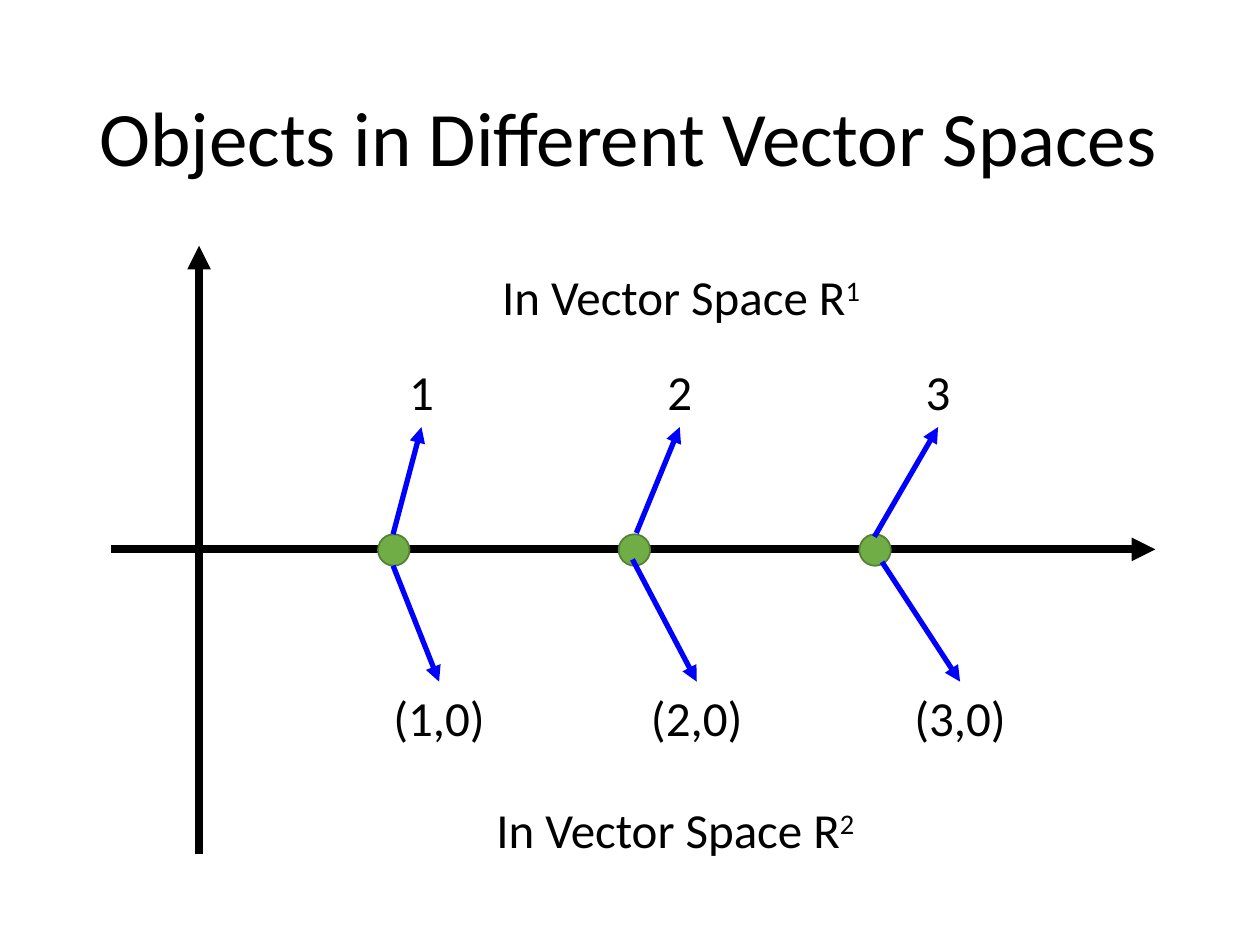
from lxml import etree
from pptx import Presentation
from pptx import util as u
from pptx.dml.color import RGBColor
from pptx.enum import shapes, text
from pptx.oxml import ns

BLACK, BLUE, GREEN, DARK_GREEN = "000000", "0000FF", "70AD47", "538035"
TOP, BOTTOM = 0, 2


def color(hex_value):
    return RGBColor.from_string(hex_value)


def box(*lengths):
    return [u.Inches(length) for length in lengths]


class Board:
    """Holds the text style and the current slide."""

    def __init__(self, slide, font="Calibri", size=28):
        self.slide = slide
        self.font = font
        self.size = size

    def style(self, run, size):
        values = {"name": self.font, "size": u.Pt(size)}
        for name, value in values.items():
            setattr(run.font, name, value)
        run.font.color.rgb = color(BLACK)

    def title(self, words, *place):
        heading = self.slide.shapes.title
        for name, value in zip(("left", "top", "width", "height"), box(*place)):
            setattr(heading, name, value)
        heading.text_frame.vertical_anchor = text.MSO_ANCHOR.MIDDLE
        line = heading.text_frame.paragraphs[0]
        line.alignment = text.PP_ALIGN.LEFT
        line.line_spacing = 0.9
        run = line.add_run()
        run.text = words
        self.style(run, 44)

    def label(self, words, *place, power=None):
        holder = self.slide.shapes.add_textbox(*box(*place))
        frame = holder.text_frame
        frame.word_wrap = True
        frame.auto_size = text.MSO_AUTO_SIZE.SHAPE_TO_FIT_TEXT
        line = frame.paragraphs[0]
        line.alignment = text.PP_ALIGN.CENTER
        for part in filter(None, (words, power)):
            run = line.add_run()
            run.text = part
            self.style(run, self.size)
            if part == power:
                run.font._element.set("baseline", "30000")
        return holder

    def dot(self, left, top, diameter):
        point = self.slide.shapes.add_shape(
            shapes.MSO_SHAPE.OVAL, *box(left, top, diameter, diameter))
        point.shadow.inherit = False
        point.fill.solid()
        point.fill.fore_color.rgb = color(GREEN)
        point.line.color.rgb = color(DARK_GREEN)
        point.line.width = u.Pt(1)

    def arrow(self, start, end, line_color, width, target=None, site=TOP):
        link = self.slide.shapes.add_connector(
            shapes.MSO_CONNECTOR.STRAIGHT, *box(*start, *end))
        if target is not None:
            link.end_connect(target, site)
        link.line.color.rgb = color(line_color)
        link.line.width = u.Pt(width)
        etree.SubElement(link.line._get_or_add_ln(), ns.qn("a:tailEnd"), type="triangle")
        etree.SubElement(link._element.spPr, ns.qn("a:effectLst"))


def main():
    deck = Presentation()
    deck.slide_width, deck.slide_height = box(10, 7.5)
    board = Board(deck.slides.add_slide(deck.slide_layouts[5]))
    board.title("Objects in Different Vector Spaces", 0.69, 0.4, 8.62, 1.45)

    # Horizontal axis, with the points on top of it
    board.arrow((0.88, 4.36), (9.17, 4.36), BLACK, 4.5)
    for index in range(3):
        board.dot(3 + 1.91 * index, 4.24, 0.25)

    # Names of the two spaces
    board.label("In Vector Space R", 3.87, 2.07, 3.07, 0.57, power="1")
    board.label("In Vector Space R", 3.65, 6.3, 3.42, 0.57, power="2")

    # Vertical axis
    board.arrow((1.58, 6.78), (1.58, 1.95), BLACK, 4.5)

    # Each point seen as a number above and as a pair below
    points = [
        ((3.12, 4.24), (3.12, 4.49), 0.97),
        ((5.05, 4.23), (5.02, 4.44), 0.96),
        ((6.94, 4.26), (7, 4.46), 1.04),
    ]
    for index, (upper_start, lower_start, pair_width) in enumerate(points):
        left = 3 + 2.05 * index
        number = board.label(f"{index + 1}", left, 2.82, 0.69, 0.57)
        pair = board.label(f"({index + 1},0)", left, 5.41, pair_width, 0.57)
        board.arrow(upper_start, (left + 0.34, 3.39), BLUE, 3, number, BOTTOM)
        board.arrow(lower_start, (left + pair_width / 2, 5.41), BLUE, 3, pair, TOP)

    deck.save("out.pptx")


if __name__ == "__main__":
    main()
